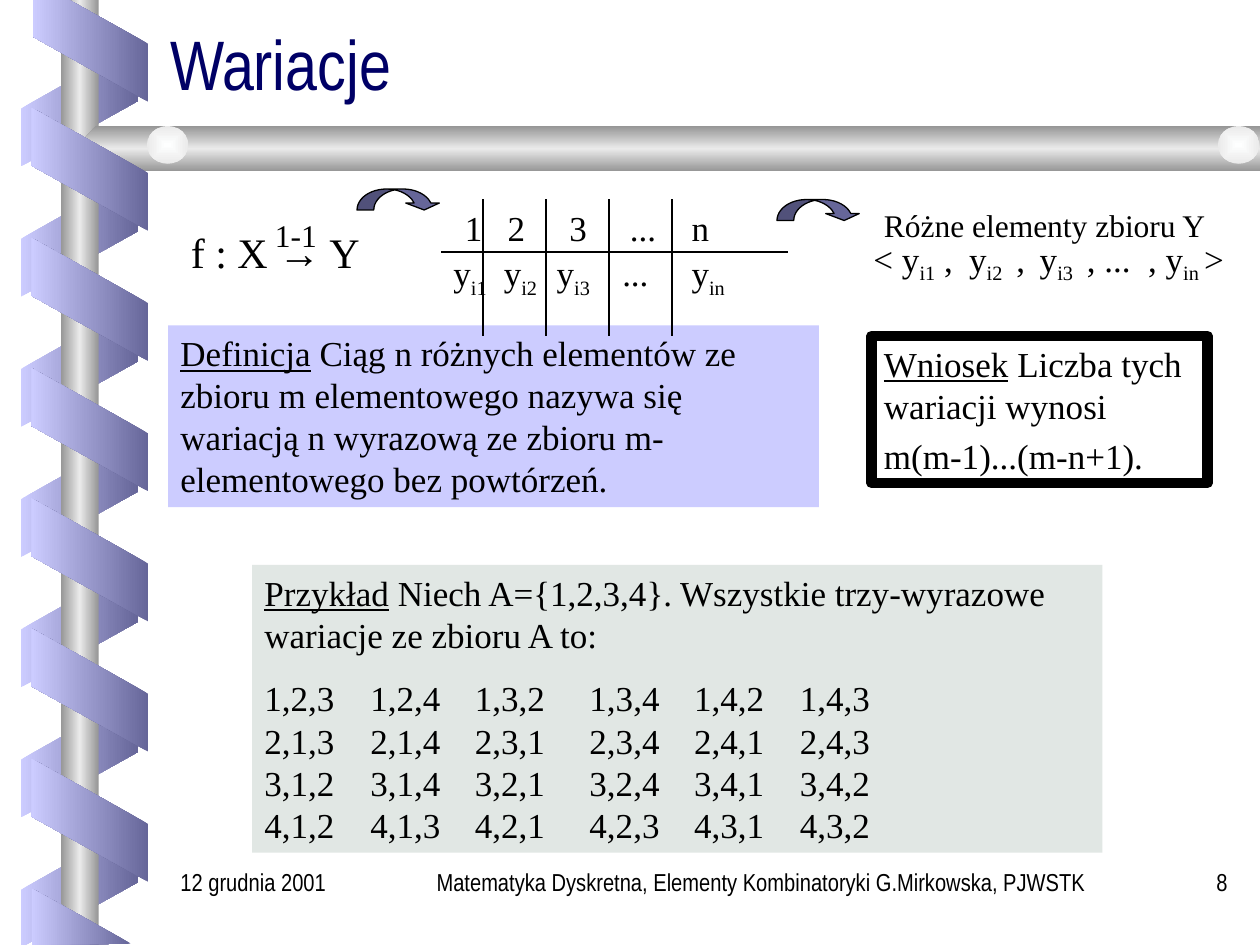
import pptx
import pptx.util
import pptx.dml.color
import pptx.enum.shapes
import pptx.enum.text
import pptx.oxml
import pptx.oxml.ns
from dataclasses import dataclass
from typing import Optional

COLS = 120
WIDE, HIGH = pptx.util.Inches(10), pptx.util.Inches(7.5)
CELL = WIDE / COLS
SERIF, NARROW = "Times New Roman", "Arial Narrow"
LIGHT, DARK = "CCCCFF", "666699"
STEEL = ("969696", "EAEAEA", "969696")
Kind = pptx.enum.shapes.MSO_SHAPE
Align = pptx.enum.text.PP_ALIGN
Anchor = pptx.enum.text.MSO_ANCHOR


@dataclass
class Box:
    area: tuple
    lines: list
    size: float = 20
    font: str = SERIF
    mark: str = ""
    fill: str = ""
    edge: float = 0
    gap: float = 0
    tabs: tuple = ()
    inset: float = 0.05
    align: Align = Align.LEFT


@dataclass
class Coil:
    left: float
    top: float
    count: int
    turn: int
    flip: bool
    stops: tuple


def grid(*cells: float) -> list:
    return [pptx.util.Emu(round(cell * CELL)) for cell in cells]


def tint(code: str) -> pptx.dml.color.RGBColor:
    return pptx.dml.color.RGBColor.from_string(code)


def paint(shape, fill: str = "", edge: float = 0) -> None:
    shape.shadow.inherit = False
    if fill:
        shape.fill.solid()
        shape.fill.fore_color.rgb = tint(fill)
    else:
        shape.fill.background()
    if edge:
        shape.line.color.rgb = tint("000000")
        shape.line.width = pptx.util.Pt(edge)
    else:
        shape.line.fill.background()


def blend(shape, stops: tuple, angle: Optional[int] = 180) -> None:
    paint(shape)
    step = 100000 // (len(stops) - 1)
    marks = "".join(f'<a:gs pos="{i * step}"><a:srgbClr val="{code}"/></a:gs>'
                    for i, code in enumerate(stops))
    if angle is None:
        way = ('<a:path path="rect"><a:fillToRect l="50000" t="50000" '
               'r="50000" b="50000"/></a:path>')
    else:
        way = f'<a:lin ang="{angle * 60000}" scaled="0"/>'
    blank = shape._element.spPr.find(pptx.oxml.ns.qn("a:noFill"))
    blank.getparent().replace(blank, pptx.oxml.parse_xml(
        f'<a:gradFill {pptx.oxml.ns.nsdecls("a")} rotWithShape="0">'
        f'<a:gsLst>{marks}</a:gsLst>{way}</a:gradFill>'))


def outline(slide, points: list, stops: tuple, angle: int) -> None:
    pen = slide.shapes.build_freeform(*points[0], scale=9144)
    pen.add_line_segments(points[1:], close=True)
    blend(pen.convert_to_shape(), stops, angle)


def wind(slide, coil: Coil) -> None:
    for i in range(coil.count):
        band = slide.shapes.add_shape(
            Kind.PARALLELOGRAM, *grid(coil.left, coil.top + 12.4 * i, 11.75, 11.15))
        band.adjustments[0] = 0.56
        band.rotation = coil.turn
        if coil.flip:
            band._element.spPr.xfrm.set("flipH", "1")
        blend(band, coil.stops)


def style(run, size: float, font: str, code: str = "000000") -> None:
    run.font.size = pptx.util.Pt(size)
    run.font.name = font
    run.font.color.rgb = tint(code)


def stress(run, mark: str) -> None:
    if mark == "under":
        run.font.underline = True
    elif mark == "sub":
        run._r.get_or_add_rPr().set("baseline", "-25000")
    elif mark:
        run.font.name = mark


def add_tabs(para, stops: tuple) -> None:
    marks = "".join(f'<a:tab pos="{pptx.util.Inches(stop)}" algn="l"/>' for stop in stops)
    para._p.get_or_add_pPr().append(pptx.oxml.parse_xml(
        f'<a:tabLst {pptx.oxml.ns.nsdecls("a")}>{marks}</a:tabLst>'))


def write(slide, box: Box) -> None:
    area = grid(*box.area)
    if box.fill or box.edge:
        shape = slide.shapes.add_shape(Kind.RECTANGLE, *area)
        paint(shape, box.fill, box.edge)
    else:
        shape = slide.shapes.add_textbox(*area)
    frame = shape.text_frame
    frame.word_wrap = True
    frame.vertical_anchor = Anchor.TOP
    frame.margin_top = pptx.util.Inches(box.inset)
    for i, line in enumerate(box.lines):
        para = frame.add_paragraph() if i else frame.paragraphs[0]
        if box.tabs:
            add_tabs(para, box.tabs[min(i, len(box.tabs) - 1)])
        para.alignment = box.align
        if i == 1 and box.gap:
            para.space_before = pptx.util.Pt(box.gap)
        for j, part in enumerate(line.split("|")):
            if part:
                run = para.add_run()
                run.text = part
                style(run, box.size, box.font)
                if j % 2:
                    stress(run, box.mark)


def rule(slide, *ends: float) -> None:
    line = slide.shapes.add_connector(pptx.enum.shapes.MSO_CONNECTOR.STRAIGHT, *grid(*ends))
    line.line.color.rgb = tint("000000")
    line.line.width = pptx.util.Pt(0.75)
    line._element.spPr.append(pptx.oxml.parse_xml(
        f'<a:effectLst {pptx.oxml.ns.nsdecls("a")}/>'))


def curve(slide, left: float, top: float) -> None:
    arrow = slide.shapes.add_shape(Kind.CURVED_DOWN_ARROW, *grid(left, top, 8, 2))
    for i, share in enumerate((0.8, 1.6, 0.33)):
        arrow.adjustments[i] = share
    paint(arrow, DARK, 0.75)


def frame_page(slide) -> None:
    wind(slide, Coil(1.7, 4.4, 7, 90, True, (LIGHT, DARK)))
    pole = slide.shapes.add_shape(Kind.RECTANGLE, *grid(5.8, 0, 3.6, 90))
    blend(pole, STEEL)
    outline(slide, [(1000, 100), (76, 100), (60, 118), (76, 136), (1000, 136)], STEEL, 90)
    for left in (14, 116):
        knob = slide.shapes.add_shape(Kind.OVAL, *grid(left, 12, 3.95, 3.6))
        blend(knob, ("FEFFFF", "EAEAEA"), None)
    wind(slide, Coil(2.7, 10.55, 6, 270, False, (DARK, LIGHT)))
    outline(slide, [(26, 0), (26, 29), (118, 81), (118, 35), (55, 0)], (DARK, LIGHT), 180)
    outline(slide, [(104, 749), (25, 705), (25, 750)], (DARK, LIGHT), 180)


def head(slide, text: str) -> None:
    title = slide.shapes.title
    title.left, title.top, title.width, title.height = grid(15, 3, 102, 7.5)
    title.text_frame.text = text
    title.text_frame.vertical_anchor = Anchor.BOTTOM
    para = title.text_frame.paragraphs[0]
    para.alignment = Align.LEFT
    para.line_spacing = 0.8
    style(para.runs[0], 40, NARROW, "000066")


TRIPLES = [
    "1,2,3 1,2,4 1,3,2 1,3,4 1,4,2 1,4,3",
    "2,1,3 2,1,4 2,3,1 2,3,4 2,4,1 2,4,3",
    "3,1,2 3,1,4 3,2,1 3,2,4 3,4,1 3,4,2",
    "4,1,2 4,1,3 4,2,1 4,2,3 4,3,1 4,3,2",
]
BOXES = [
    Box((16, 31, 62, 17.3), ["|Definicja| Ciąg n różnych elementów ze zbioru m elementowego "
        "nazywa się wariacją n wyrazową ze zbioru m-elementowego bez powtórzeń."],
        mark="under", fill=LIGHT),
    Box((17, 21, 28, 6), ["f : X |→| Y"], size=24, mark="Arial"),
    Box((42, 18, 39, 15.1), ["\t1\t2\t3\t...\tn", "y|i1|\ty|i2|\ty|i3|\t...\ty|in|"],
        mark="sub", gap=1.5, inset=0.14,
        tabs=((0.09, 0.43, 0.92, 1.4, 1.89), (0.4, 0.82, 1.34, 1.89))),
    Box((82, 22, 38, 9.8), ["< y|i1| ,\ty|i2 | ,\ty|i3 | , ...\t, y|in |>"],
        mark="sub", fill="FFFFFF", tabs=((0.76, 1.32, 2.18),)),
    Box((24, 53.8, 81, 27.4), ["|Przykład| Niech A={1,2,3,4}. Wszystkie trzy-wyrazowe "
        "wariacje ze zbioru A to:"] + [row.replace(" ", "\t") for row in TRIPLES],
        mark="under", fill="E1E7E4", gap=12.5, tabs=((0.84, 1.67, 2.58, 3.41, 4.25),)),
    Box((83, 32, 32, 14), ["|Wniosek| Liczba tych wariacji wynosi", "m(m-1)...(m-n+1)."],
        mark="under", edge=6, gap=5),
    Box((25, 20, 7, 4.8), ["1-1"], size=18),
    Box((83, 19, 34, 4.8), ["Różne elementy zbioru Y"], size=18),
    Box((38, 82, 69, 6), ["Matematyka Dyskretna, Elementy Kombinatoryki G.Mirkowska, PJWSTK"],
        size=14, font=NARROW, align=Align.CENTER),
    Box((108, 82, 10.1, 6), ["8"], size=14, font=NARROW, align=Align.RIGHT),
    Box((16, 82, 21, 6), ["12 grudnia 2001"], size=14, font=NARROW),
]


def main() -> None:
    deck = pptx.Presentation()
    deck.slide_width, deck.slide_height = WIDE, HIGH
    slide = deck.slides.add_slide(deck.slide_layouts[5])
    frame_page(slide)
    head(slide, "Wariacje")
    for box in BOXES:
        write(slide, box)
    rule(slide, 42, 24, 75, 24)
    for col in range(46, 65, 6):
        rule(slide, col, 19, col, 32)
    curve(slide, 34, 18)
    curve(slide, 74, 19)
    deck.save("out.pptx")


if __name__ == "__main__":
    main()
